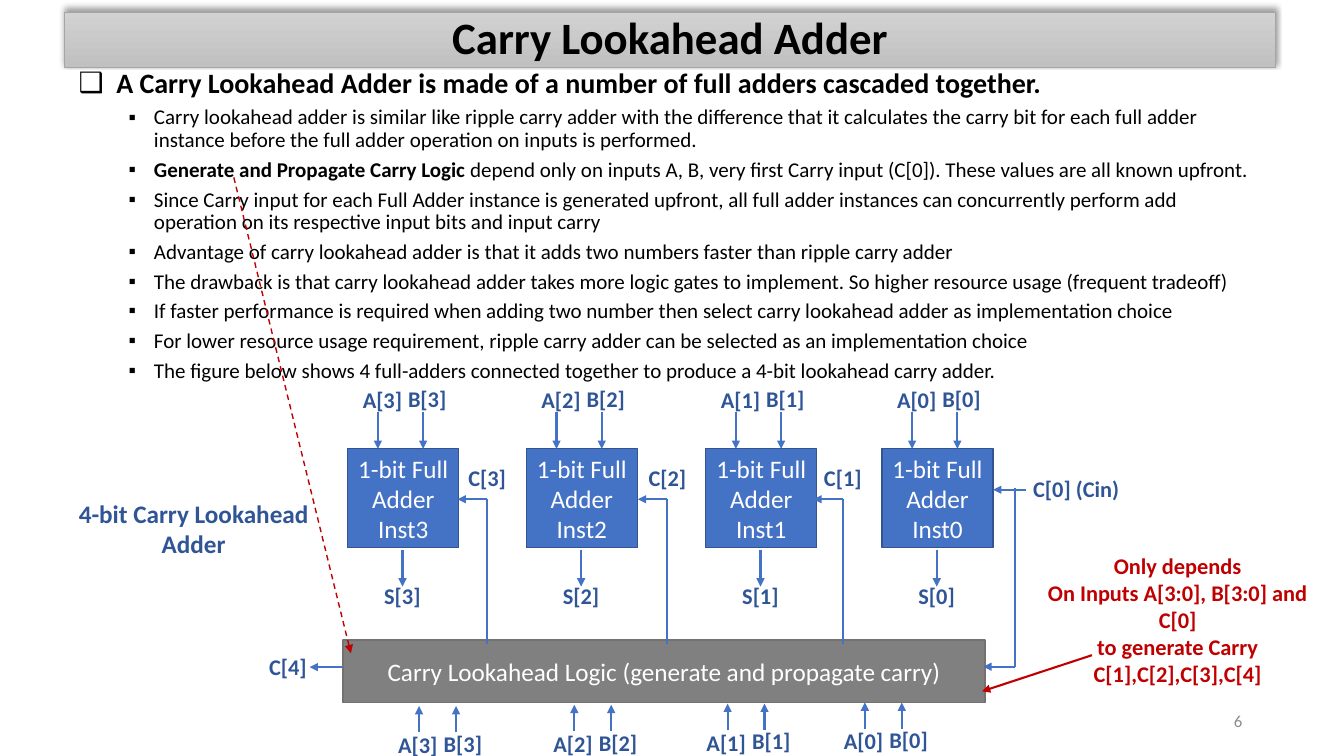
import pptx
import pptx.dml.color
import pptx.enum.dml
import pptx.enum.shapes
import pptx.enum.text
import pptx.oxml
import pptx.oxml.ns
import pptx.util
from pptx.util import Cm

COLORS = {
    "black": "000000", "white": "FFFFFF", "title_top": "D2D2D2", "title_bottom": "C0C0C0",
    "title_edge": "A5A5A5", "page": "8C8C8C", "label": "2F5597", "wire": "4472C4",
    "adder": "4472C4", "adder_edge": "325491", "logic": "808080", "logic_edge": "767171",
    "note": "C00000",
}
FONT = "Calibri"

TITLE = "Carry Lookahead Adder"
HEADLINE = "A Carry Lookahead Adder is made of a number of full adders cascaded together."
# Each point is a list of (text, bold) runs
POINTS = [
    [("Carry lookahead adder is similar like ripple carry adder with the difference that it calculates "
      "the carry bit for each full adder instance before the full adder operation on inputs is performed.", False)],
    [("Generate and Propagate Carry Logic ", True),
     ("depend only on inputs A, B, very first Carry input (C[0]). These values are all known upfront.", False)],
    [("Since Carry input for each Full Adder instance is generated upfront, all full adder instances can "
      "concurrently perform add operation on its respective input bits and input carry", False)],
    [("Advantage of carry lookahead adder is that it adds two numbers faster than ripple carry adder", False)],
    [("The drawback is that carry lookahead adder takes more logic gates to implement. "
      "So higher resource usage (frequent tradeoff)", False)],
    [("If faster performance is required when adding two number then select carry lookahead adder "
      "as implementation choice", False)],
    [("For lower resource usage requirement, ripple carry adder can be selected as an implementation choice", False)],
    [("The figure below shows 4 full-adders connected together to produce a 4-bit lookahead carry adder.", False)],
]
CAPTION = ["4-bit Carry Lookahead", "Adder"]
NOTE = ["Only depends", "On Inputs A[3:0], B[3:0] and C[0]", "to generate Carry C[1],C[2],C[3],C[4]"]
LOGIC = "Carry Lookahead Logic (generate and propagate carry)"
PAGE = "6"

# Centimetres: bit, adder left, left of the inputs under the logic block, carry wire
BITS = [(3, 8.76, 9.78, 12.27), (2, 13.26, 13.69, 16.81), (1, 17.78, 17.55, 21.23), (0, 22.22, 21.01, None)]
ADDER_TOP, ADDER_W, ADDER_H = 11.31, 2.8, 2.49
LABEL_H = 0.94

ALIGN = pptx.enum.text.PP_ALIGN
ANCHOR = pptx.enum.text.MSO_ANCHOR
RECTANGLE = pptx.enum.shapes.MSO_SHAPE.RECTANGLE

deck = pptx.Presentation()
deck.slide_width, deck.slide_height = Cm(33.86), Cm(19.05)
slide = deck.slides.add_slide(deck.slide_layouts[6])


def rgb(name):
    return pptx.dml.color.RGBColor.from_string(COLORS[name])


def add_xml(parent, tag, inner="", **attributes):
    listed = " ".join(f'{key}="{value}"' for key, value in attributes.items())
    parent.append(pptx.oxml.parse_xml(
        f'<a:{tag} {pptx.oxml.ns.nsdecls("a")} {listed}>{inner}</a:{tag}>'))


def add_run(paragraph, words, size, color, bold=False):
    run = paragraph.add_run()
    run.text = words
    run.font.name, run.font.size = FONT, pptx.util.Pt(size)
    run.font.bold, run.font.color.rgb = bold, rgb(color)


def write(frame, lines, size, color, bold=False, align=ALIGN.CENTER):
    for index, line in enumerate(lines):
        paragraph = frame.paragraphs[0] if index == 0 else frame.add_paragraph()
        paragraph.alignment = align
        add_run(paragraph, line, size, color, bold)


def add_text(left, top, width, height, lines, size, color, bold=True,
             align=ALIGN.CENTER, wrap=False, anchor=ANCHOR.TOP):
    box = slide.shapes.add_textbox(Cm(left), Cm(top), Cm(width), Cm(height))
    box.text_frame.word_wrap = wrap
    box.text_frame.vertical_anchor = anchor
    write(box.text_frame, lines, size, color, bold, align)


def add_label(left, top, width, words):
    add_text(left, top, width, LABEL_H, [words], 16, "label", align=ALIGN.LEFT)


def add_block(left, top, width, height, edge, edge_width, lines, size, color, bold=False):
    block = slide.shapes.add_shape(RECTANGLE, Cm(left), Cm(top), Cm(width), Cm(height))
    block.shadow.inherit = False
    block.line.color.rgb, block.line.width = rgb(edge), pptx.util.Pt(edge_width)
    block.text_frame.word_wrap = True
    block.text_frame.vertical_anchor = ANCHOR.MIDDLE
    write(block.text_frame, lines, size, color, bold)
    return block


def add_solid_block(left, top, width, height, fill, lines):
    block = add_block(left, top, width, height, f"{fill}_edge", 1, lines, 18, "white")
    block.fill.solid()
    block.fill.fore_color.rgb = rgb(fill)


def add_wire(x1, y1, x2, y2, color="wire", width=1.5, arrow=True, dashed=False):
    wire = slide.shapes.add_connector(
        pptx.enum.shapes.MSO_CONNECTOR.STRAIGHT, Cm(x1), Cm(y1), Cm(x2), Cm(y2))
    wire.line.color.rgb, wire.line.width = rgb(color), pptx.util.Pt(width)
    if dashed:
        wire.line.dash_style = pptx.enum.dml.MSO_LINE.DASH
    if arrow:
        add_xml(wire.line._get_or_add_ln(), "tailEnd", type="triangle")
    add_xml(wire._element.spPr, "effectLst")


def add_title():
    bar = add_block(1.63, 0.3, 30.51, 1.4, "title_edge", 0.5, [TITLE], 32, "black", True)
    bar.text_frame.paragraphs[0].line_spacing = 0.9
    bar.fill.gradient()
    bar.fill.gradient_angle = 270
    for stop, color, position in zip(bar.fill.gradient_stops, ("title_top", "title_bottom"), (0, 1)):
        stop.color.rgb, stop.position = rgb(color), position
    effects = bar._element.spPr.find(pptx.oxml.ns.qn("a:effectLst"))
    add_xml(effects, "outerShdw", '<a:srgbClr val="000000"><a:alpha val="40000"/></a:srgbClr>',
            blurRad=pptx.util.Pt(4), dist=pptx.util.Pt(3), dir=270 * 60000, rotWithShape=0)


def add_bullet(paragraph, mark, indent, hanging):
    paragraph.line_spacing = 0.9
    properties = paragraph._p.get_or_add_pPr()
    properties.set("marL", str(Cm(indent)))
    properties.set("indent", str(-Cm(hanging)))
    add_xml(properties, "buFont", typeface="Arial")
    add_xml(properties, "buChar", char=mark)


def add_points():
    frame = slide.shapes.add_textbox(Cm(1.73), Cm(1.63), Cm(30.25), Cm(8.2)).text_frame
    frame.word_wrap = True
    add_bullet(frame.paragraphs[0], "❑", 0.95, 0.95)
    add_run(frame.paragraphs[0], HEADLINE, 20, "black", True)
    for point in POINTS:
        paragraph = frame.add_paragraph()
        paragraph.level = 1
        paragraph.space_before = pptx.util.Pt(5)
        add_bullet(paragraph, "▪", 1.9, 0.64)
        for words, bold in point:
            add_run(paragraph, words, 15, "black", bold)


def add_adder(bit, left):
    """One full adder with its two inputs above and its sum below."""
    add_solid_block(left, ADDER_TOP, ADDER_W, ADDER_H, "adder", ["1-bit Full Adder", f"Inst{bit}"])
    for operand, wire, label, top in (("A", 0.76, 0.13, 9.6), ("B", 1.9, 1.27, 9.58)):
        add_wire(left + wire, 10.39, left + wire, ADDER_TOP)
        add_label(left + label, top, 1.52, f"{operand}[{bit}]")
    add_wire(left + 1.38, 13.85, left + 1.38, 14.78)
    add_label(left + 0.67, 14.55, 1.45, f"S[{bit}]")


def add_carry(bit, wire):
    """A carry wire rising from the logic block into an adder."""
    add_wire(wire, 12.58, wire, 16.23, arrow=False)
    add_wire(wire, 12.58, wire - 0.74, 12.58)
    add_label(wire - 0.72, 11.57, 1.47, f"C[{bit}]")


def add_logic_inputs(bit, left):
    drop = 0.03 * bit
    for operand, wire, label, top in (("A", 0.78, 0, 18.21), ("B", 1.71, 1.15, 18.18)):
        add_wire(left + wire, 18.36 + drop, left + wire, 17.7 + drop)
        add_label(left + label, top + drop, 1.52, f"{operand}[{bit}]")


add_title()
add_points()
add_text(23.93, 17.65, 7.62, 1.02, [PAGE], 12, "page", False, ALIGN.RIGHT, True, ANCHOR.MIDDLE)
add_text(1.63, 12.42, 6.5, 1.8, CAPTION, 18, "label")

add_solid_block(8.64, 16.13, 16.18, 1.57, "logic", [LOGIC])
for bit, adder_left, inputs_left, carry_wire in BITS:
    add_adder(bit, adder_left)
    add_logic_inputs(bit, inputs_left)
    if carry_wire:
        add_carry(bit, carry_wire)

add_wire(8.64, 16.81, 7.8, 16.81)
add_label(6.53, 16.33, 1.47, "C[4]")
add_wire(25.86, 12.34, 25.02, 12.34)
add_label(25.78, 11.86, 2.72, "C[0] (Cin)")
add_wire(25.58, 16.8, 25.58, 12.3, arrow=False)
add_wire(25.58, 16.8, 24.77, 16.8)

add_text(26.12, 13.79, 7.1, 3.68, NOTE, 16, "note", wrap=True)
add_wire(27.51, 16.51, 24.74, 17.42, "note")
add_wire(5.89, 4.47, 8.84, 16.46, "note", 1, dashed=True)

deck.save("out.pptx")
